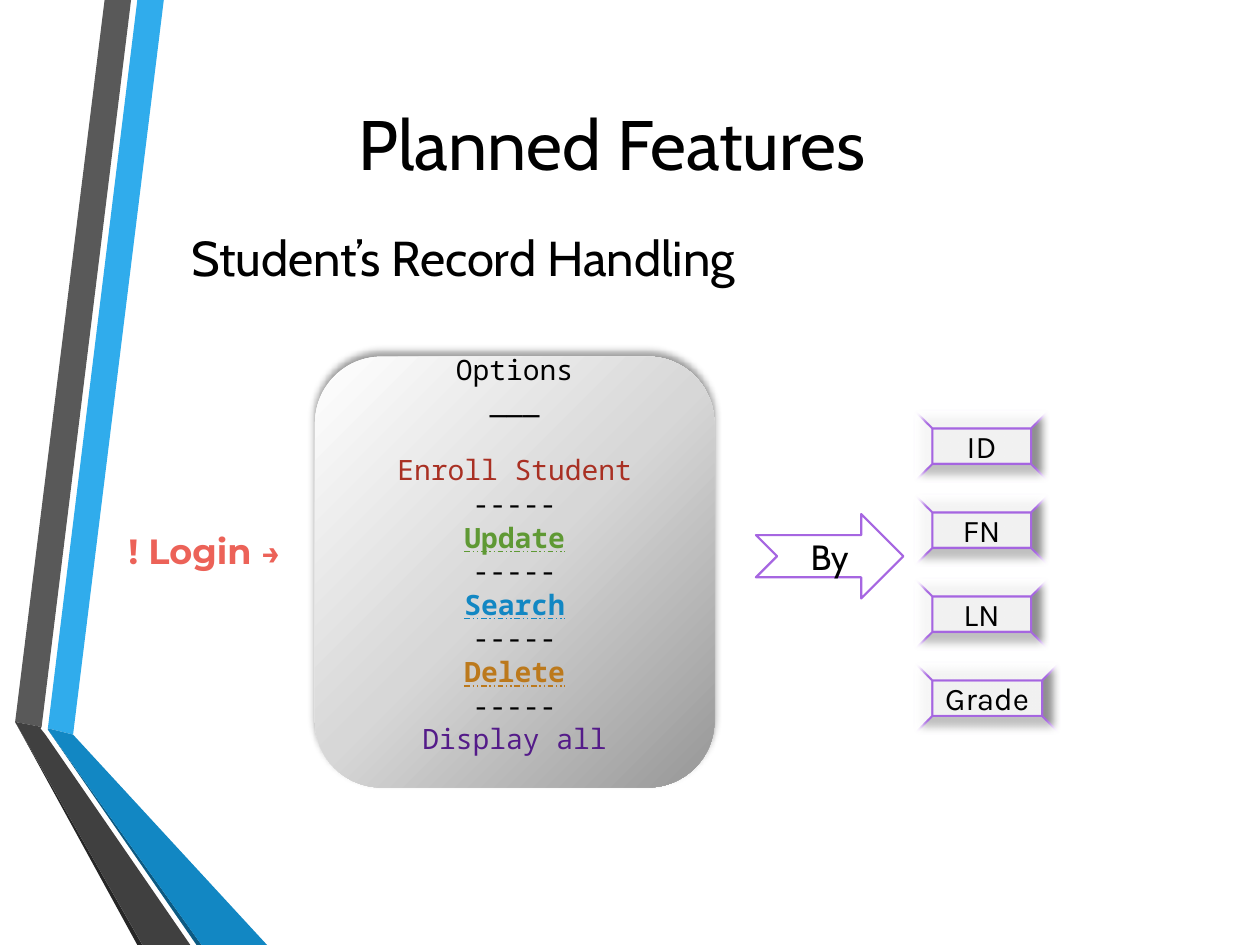
import dataclasses

import pptx
import pptx.dml.color
import pptx.enum.shapes
import pptx.enum.text
import pptx.oxml
import pptx.oxml.ns
import pptx.util

Inches = pptx.util.Inches
Pt = pptx.util.Pt
Shape = pptx.enum.shapes.MSO_SHAPE
Align = pptx.enum.text.PP_ALIGN
Underline = pptx.enum.text.MSO_UNDERLINE
RGB = pptx.dml.color.RGBColor.from_string


@dataclasses.dataclass(frozen=True)
class Theme:
    black: str = "000000"
    white: str = "FFFFFF"
    login: str = "EC6258"
    enroll: str = "A93023"
    update: str = "5F9934"
    search: str = "1287C3"
    delete: str = "BC791C"
    display: str = "541B89"
    outline: str = "A666E1"
    key_fill: str = "F2F2F2"
    title_size: int = 40
    heading_size: int = 28
    label_size: int = 20
    key_size: int = 18
    option_size: int = 16


theme = Theme()
A_NS = 'xmlns:a="http://schemas.openxmlformats.org/drawingml/2006/main"'


def write(paragraph, text, size, font, color, **formats):
    run = paragraph.add_run()
    run.text = text
    run.font.color.rgb = RGB(color)
    values = {"size": Pt(size), "name": font, **formats}
    for name, value in values.items():
        setattr(run.font, name, value)


def set_frame(shape, **formats):
    """Middle-anchor the text of a shape, apply formats, return its first paragraph."""
    values = {"vertical_anchor": pptx.enum.text.MSO_ANCHOR.MIDDLE, "word_wrap": True, **formats}
    for name, value in values.items():
        setattr(shape.text_frame, name, value)
    return shape.text_frame.paragraphs[0]


deck = pptx.Presentation()
deck.slide_width, deck.slide_height = Inches(10), Inches(7.5)
slide = deck.slides.add_slide(deck.slide_layouts[6])
shapes = slide.shapes

# Folded ribbons along the left edge
ribbons = [
    ("30ACEC", [(0.38, 5.78), (0.58, 5.83), (1.3, 0), (1.09, 0)]),
    ("595959", [(1.04, 0), (0.83, 0), (0.12, 5.73), (0.33, 5.77)]),
    ("262626", [(0.12, 5.73), (1.09, 7.5), (1.13, 7.5)]),
    ("0C5A82", [(0.38, 5.79), (1.56, 7.5), (1.6, 7.5)]),
    ("1287C3", [(0.38, 5.79), (1.6, 7.5), (2.12, 7.5), (0.58, 5.83), (0.38, 5.78)]),
    ("404040", [(1.51, 7.5), (0.36, 5.83), (0.32, 5.78), (0.33, 5.77), (0.12, 5.73), (1.13, 7.5)]),
]
for color, corners in ribbons:
    start, *rest = [(Inches(x), Inches(y)) for x, y in corners]
    outline = shapes.build_freeform(*start)
    outline.add_line_segments(rest, close=True)
    ribbon = outline.convert_to_shape()
    ribbon.shadow.inherit = False
    ribbon.fill.solid()
    ribbon.fill.fore_color.rgb = RGB(color)
    ribbon.line.fill.background()

# Headings
title = shapes.add_textbox(Inches(0.75), Inches(0.17), Inches(8.22), Inches(1.92))
title_line = set_frame(title)
title_line.alignment = Align.CENTER
write(title_line, "Planned Features", theme.title_size, "Cabin", theme.black)

heading = shapes.add_textbox(Inches(1.42), Inches(1.5), Inches(5.5), Inches(1.08))
write(set_frame(heading), "Student’s Record Handling", theme.heading_size, "Cabin", theme.black)

login = shapes.add_textbox(Inches(0.92), Inches(4.15), Inches(1.6), Inches(0.44))
login_line = set_frame(login, word_wrap=False)
write(login_line, "! Login ", theme.label_size, "Montserrat", theme.login, bold=True)
write(login_line, "→", theme.key_size, "Montserrat", theme.login, bold=True)

# Options panel
panel = shapes.add_shape(Shape.ROUNDED_RECTANGLE, Inches(2.5), Inches(2.83), Inches(3.17), Inches(3.42))
panel.shadow.inherit = False
panel.line.fill.background()
stops = "".join(
    f'<a:gs pos="{position}000"><a:srgbClr val="{color}"/></a:gs>'
    for position, color in [(0, "979797"), (50, "D7D7D7"), (100, theme.white)]
)
panel_properties = panel._element.spPr
panel_properties.insert(2, pptx.oxml.parse_xml(
    f'<a:gradFill {A_NS} rotWithShape="1"><a:gsLst>{stops}</a:gsLst>'
    '<a:path path="circle"><a:fillToRect l="100000" t="100000"/></a:path></a:gradFill>'
))
panel_properties.find(pptx.oxml.ns.qn("a:effectLst")).append(pptx.oxml.parse_xml(
    f'<a:outerShdw {A_NS} blurRad="{Pt(4)}" dist="{Pt(3)}" dir="16200000" rotWithShape="0">'
    f'<a:srgbClr val="{theme.black}"><a:alpha val="40000"/></a:srgbClr></a:outerShdw>'
))

linked = {"bold": True, "underline": Underline.DOT_DOT_DASH_LINE}
divider = ("-----", theme.black, {})
options = [
    ("Options", theme.black, {}),
    ("___", theme.black, {}),
    ("Enroll Student", theme.enroll, {}),
    divider,
    ("Update", theme.update, linked),
    divider,
    ("Search", theme.search, linked),
    divider,
    ("Delete", theme.delete, linked),
    divider,
    ("Display all", theme.display, {}),
]
line_height = Pt(19.2)
option_line = set_frame(panel, margin_bottom=Inches(0.34))
for index, (text, color, formats) in enumerate(options):
    if index:
        option_line = panel.text_frame.add_paragraph()
    option_line.alignment = Align.CENTER
    option_line.line_spacing = line_height
    if text == "Enroll Student":
        option_line.space_before = line_height
    write(option_line, text, theme.option_size, "Noto Sans Mono", color, **formats)

# Search keys, then the arrow that leads to them
key_left, key_top, key_pitch, key_height = 7.25, 3.25, 2 / 3, 0.58
keys = [("ID", 1.08), ("FN", 1.08), ("LN", 1.08), ("Grade", 1.17)]
parts = [
    (Shape.BEVEL, key_left, key_top + row * key_pitch, width, key_height,
     text, theme.key_size, "Karla", theme.key_fill)
    for row, (text, width) in enumerate(keys)
]
parts.append((Shape.NOTCHED_RIGHT_ARROW, 6, 4.08, 1.17, 0.67, "By", theme.label_size, "Cabin", theme.white))

for preset, left, top, width, height, text, size, font, fill in parts:
    part = shapes.add_shape(preset, Inches(left), Inches(top), Inches(width), Inches(height))
    part.shadow.inherit = False
    part.fill.solid()
    part.fill.fore_color.rgb = RGB(fill)
    part.line.color.rgb = RGB(theme.outline)
    part.line.width = Pt(1.25)
    if preset == Shape.BEVEL:
        part.adjustments[0] = 0.26
        part._element.spPr.find(pptx.oxml.ns.qn("a:effectLst")).append(
            pptx.oxml.parse_xml(f'<a:softEdge {A_NS} rad="{Pt(5)}"/>')
        )
    label = set_frame(part, word_wrap=False, margin_left=0, margin_right=0)
    label.alignment = Align.CENTER
    write(label, text, size, font, theme.black)

deck.save("out.pptx")
